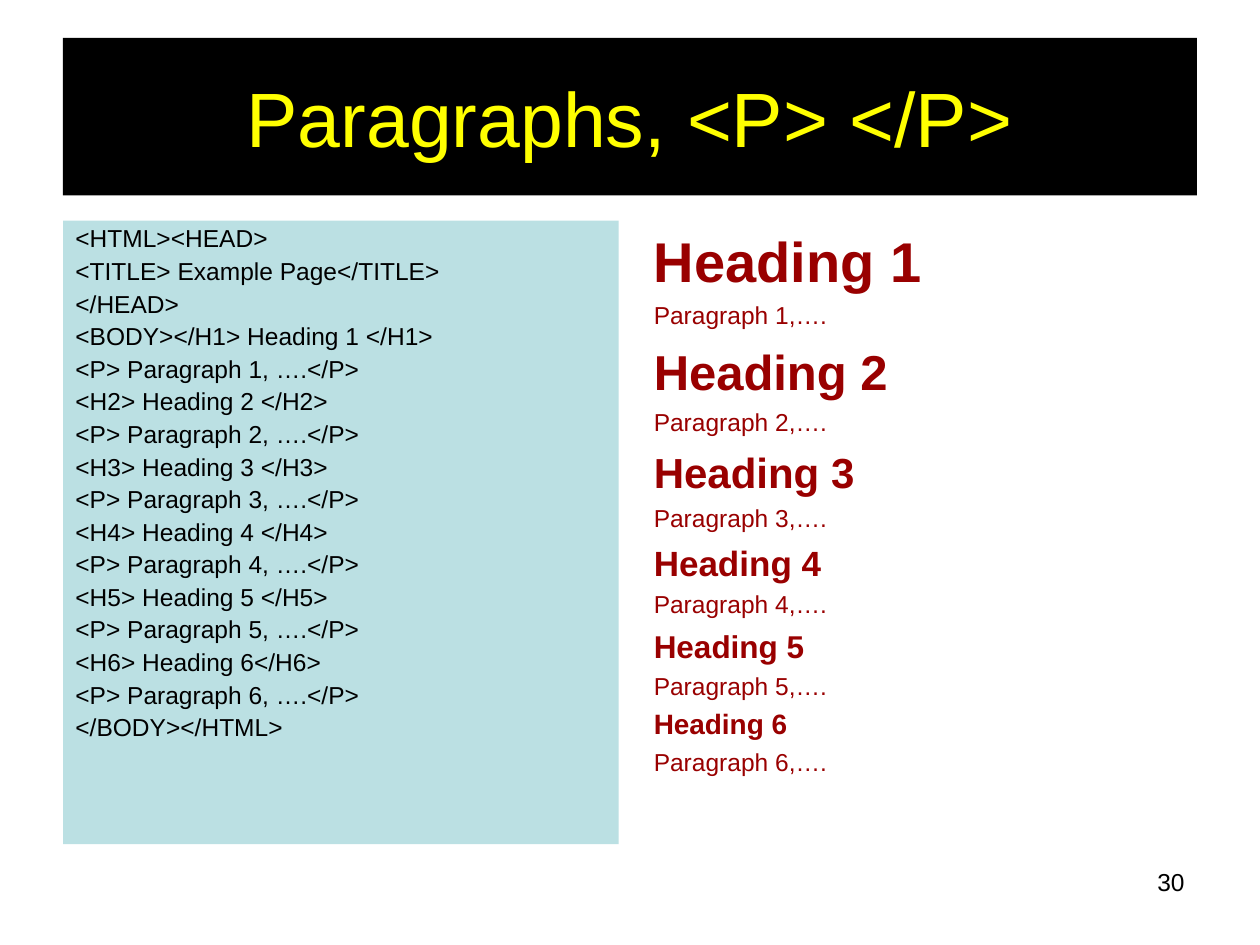
from dataclasses import dataclass

from pptx import Presentation
from pptx.dml.color import RGBColor
from pptx.enum import shapes, text
from pptx.util import Inches, Pt


@dataclass(frozen=True)
class Theme:
    font: str = "Arial"
    black: str = "000000"
    yellow: str = "FFFF00"
    aqua: str = "BBE0E3"
    red: str = "990000"
    title: int = 44
    body: int = 14
    heads: tuple = (32, 28, 24, 20, 18, 16)
    indent: float = 0.38


def write(frame, lines, theme, color, align=text.PP_ALIGN.LEFT,
          anchor=text.MSO_ANCHOR.TOP, spacing=None, hang=False):
    """Fill a frame with (words, size, bold) lines; hang sets list indents and gaps."""
    frame.word_wrap = True
    frame.vertical_anchor = anchor
    for i, (words, size, bold) in enumerate(lines):
        para = frame.add_paragraph() if i else frame.paragraphs[0]
        para.alignment = align
        if spacing:
            para.line_spacing = spacing
        if hang:
            para.space_before = Pt(size / 4)
            props = para._p.get_or_add_pPr()
            props.set("marL", str(Inches(theme.indent)))
            props.set("indent", str(-Inches(theme.indent)))
        run = para.add_run()
        run.text = words
        run.font.name = theme.font
        run.font.size = Pt(size)
        run.font.bold = bold
        run.font.color.rgb = RGBColor.from_string(color)


class Deck:
    def __init__(self, theme):
        self.theme = theme
        self.show = Presentation()
        self.show.slide_width = Inches(10)
        self.show.slide_height = Inches(7.5)
        self.slide = self.show.slides.add_slide(self.show.slide_layouts[6])

    def panel(self, box, fill, lines, color, **style):
        shape = self.slide.shapes.add_shape(
            shapes.MSO_SHAPE.RECTANGLE, *map(Inches, box))
        shape.shadow.inherit = False
        shape.fill.solid()
        shape.fill.fore_color.rgb = RGBColor.from_string(fill)
        shape.line.fill.background()
        write(shape.text_frame, lines, self.theme, color, **style)

    def label(self, box, lines, color, **style):
        shape = self.slide.shapes.add_textbox(*map(Inches, box))
        write(shape.text_frame, lines, self.theme, color, **style)


def main():
    theme = Theme()
    deck = Deck(theme)
    left, top, wide, high = 0.5, 1.75, 4.41, 4.95
    right = 10 - left - wide

    deck.panel((left, 0.3, 9, 1.25), theme.black,
               [("Paragraphs, <P> </P>", theme.title, False)], theme.yellow,
               align=text.PP_ALIGN.CENTER, anchor=text.MSO_ANCHOR.MIDDLE)

    code = ["<HTML><HEAD>", "<TITLE> Example Page</TITLE>", "</HEAD>"]
    page = []
    for n, size in enumerate(theme.heads, 1):
        start = "<BODY></H1>" if n == 1 else f"<H{n}>"
        gap = "" if n == 6 else " "
        code += [f"{start} Heading {n}{gap}</H{n}>",
                 f"<P> Paragraph {n}, ….</P>"]
        page += [(f"Heading {n}", size, True),
                 (f"Paragraph {n},….", theme.body, False)]
    code.append("</BODY></HTML>")

    deck.panel((left, top, wide, high), theme.aqua,
               [(line, theme.body, False) for line in code], theme.black,
               spacing=0.9, hang=True)
    deck.label((right, top, wide, high), page, theme.red, hang=True)
    deck.label((7.17, 6.83, 2.33, 0.52), [("30", theme.body, False)],
               theme.black, align=text.PP_ALIGN.RIGHT)
    deck.show.save("out.pptx")


if __name__ == "__main__":
    main()
